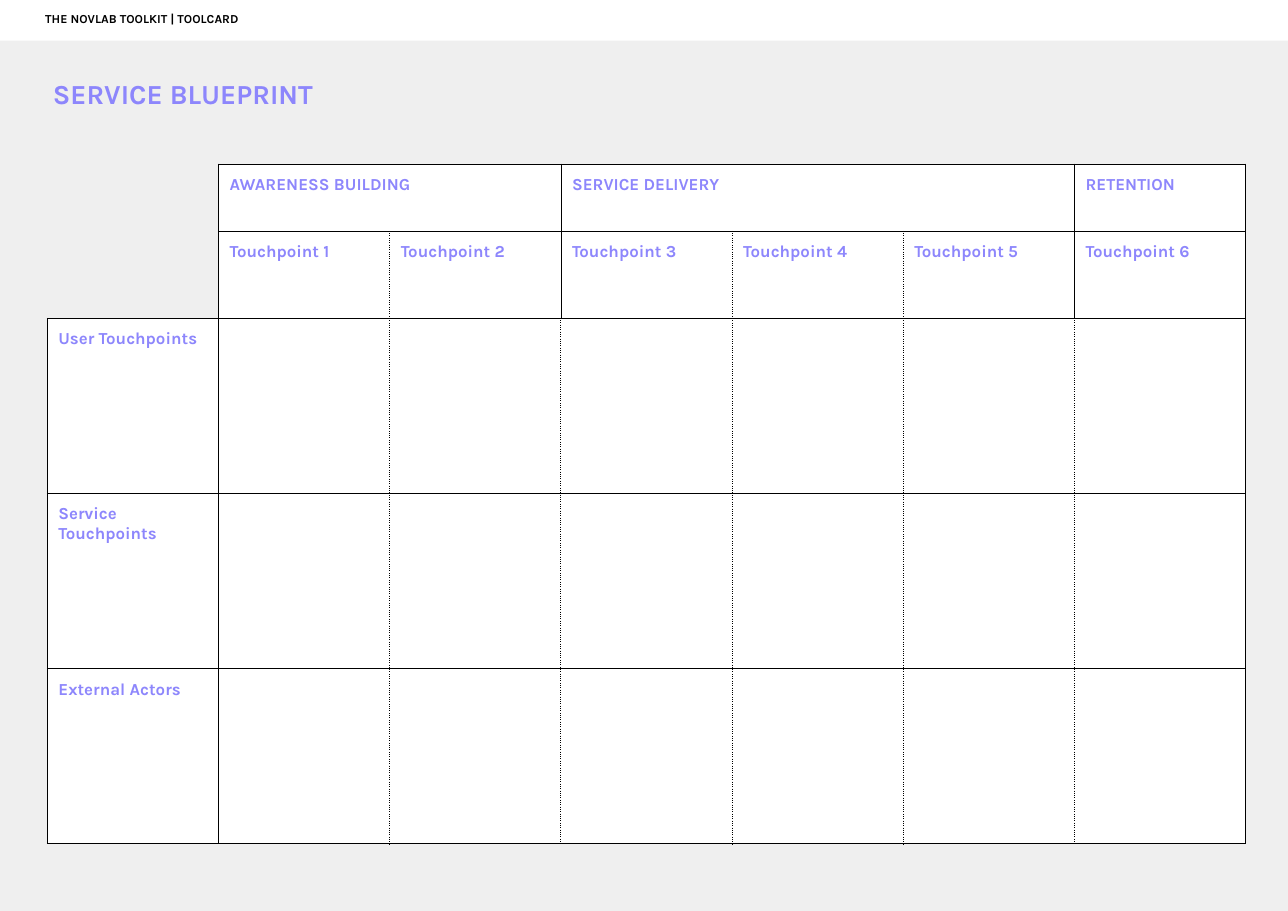
"""Build the service blueprint toolcard slide."""
from dataclasses import dataclass

from lxml import etree
from pptx import Presentation
from pptx.dml.color import RGBColor
from pptx.enum.shapes import MSO_SHAPE
from pptx.enum.text import MSO_ANCHOR, MSO_AUTO_SIZE, PP_ALIGN
from pptx.oxml.ns import qn
from pptx.util import Inches, Pt

RECT = MSO_SHAPE.RECTANGLE
TOP, MIDDLE = MSO_ANCHOR.TOP, MSO_ANCHOR.MIDDLE
NO_FIT = MSO_AUTO_SIZE.NONE
LEFT = PP_ALIGN.LEFT


@dataclass
class Theme:
    font: str = "Karla"
    accent: str = "8D86FC"
    ink: str = "000000"
    paper: str = "FFFFFF"
    backdrop: str = "EFEFEF"
    title: int = 18
    label: int = 11
    banner: int = 8
    rule: float = 0.75


theme = Theme()


def write(tf, text, size=theme.label, color=theme.accent, bold=True):
    p = tf.paragraphs[0]
    p.alignment = LEFT
    r = p.add_run()
    r.text = text
    r.font.name = theme.font
    r.font.size = Pt(size)
    r.font.bold = bold
    r.font.color.rgb = RGBColor.from_string(color)


def add_border(cell, side, dash):
    ln = etree.SubElement(cell._tc.get_or_add_tcPr(), qn(f"a:ln{side}"), w=str(Pt(theme.rule)))
    if dash is None:
        etree.SubElement(ln, qn("a:noFill"))
        return
    fill = etree.SubElement(ln, qn("a:solidFill"))
    etree.SubElement(fill, qn("a:srgbClr"), val=theme.ink)
    etree.SubElement(ln, qn("a:prstDash"), val=dash)


prs = Presentation()
prs.slide_width, prs.slide_height = Inches(11.69), Inches(8.27)
s = prs.slides.add_slide(prs.slide_layouts[5])
s.background.fill.solid()
s.background.fill.fore_color.rgb = RGBColor.from_string(theme.backdrop)

title = s.shapes.title
title.left, title.top, title.width, title.height = Inches(0), Inches(0.59), Inches(6.64), Inches(0.51)
tf = title.text_frame
tf.auto_size, tf.vertical_anchor = NO_FIT, MIDDLE
tf.margin_left = Inches(0.48)
tf.margin_top = tf.margin_right = tf.margin_bottom = Inches(0.1)
write(tf, "SERVICE BLUEPRINT", size=theme.title)

phases = [("AWARENESS BUILDING", 2), ("SERVICE DELIVERY", 3), ("RETENTION", 1)]
actors = ["User Touchpoints", "Service Touchpoints", "External Actors"]
heights = [0.61, 0.79] + [1.59] * len(actors)
touchpoints = sum(span for _, span in phases)
n_cols = touchpoints + 1
table_width = Inches(10.88)

labels = {(1, n): f"Touchpoint {n}" for n in range(1, n_cols)}
labels.update({(row, 0): actor for row, actor in enumerate(actors, 2)})
spans = []
phase_edges = {1}
col = 1
for phase, span in phases:
    labels[0, col] = phase
    spans.append((col, col + span - 1))
    col += span
    phase_edges.add(col)

table = s.shapes.add_table(len(heights), n_cols, Inches(0.43), Inches(1.49),
                           table_width, Inches(sum(heights))).table
table.first_row = table.horz_banding = False
for column in table.columns:
    column.width = table_width // n_cols

for row, height in enumerate(heights):
    table.rows[row].height = Inches(height)
    for col in range(n_cols):
        cell = table.cell(row, col)
        corner = row < 2 and col == 0
        for side, edge in (("L", col), ("R", col + 1)):
            solid = row == 0 or edge in (0, 1, n_cols) or (row == 1 and edge in phase_edges)
            dash = "solid" if solid else "sysDot"
            add_border(cell, side, None if corner and edge == 0 else dash)
        for side, edge in (("T", row), ("B", row + 1)):
            add_border(cell, side, None if col == 0 and edge < 2 else "solid")
        if corner:
            cell.fill.background()
        else:
            cell.fill.solid()
            cell.fill.fore_color.rgb = RGBColor.from_string(theme.paper)
        cell.vertical_anchor = TOP
        cell.margin_left = cell.margin_top = cell.margin_right = cell.margin_bottom = Inches(0.1)
        if (row, col) in labels:
            write(cell.text_frame, labels[row, col])

for first, last in spans:
    if last > first:
        table.cell(0, first).merge(table.cell(0, last))

banner = s.shapes.add_shape(RECT, 0, 0, prs.slide_width, Inches(0.37))
banner.shadow.inherit = False
banner.fill.solid()
banner.fill.fore_color.rgb = RGBColor.from_string(theme.paper)
banner.line.fill.background()
tf = banner.text_frame
tf.word_wrap, tf.vertical_anchor = True, TOP
tf.margin_left = Inches(0.41)
tf.margin_top = tf.margin_right = tf.margin_bottom = Inches(0.1)
write(tf, "THE NOVLAB TOOLKIT | TOOLCARD", size=theme.banner, color=theme.ink)

prs.save("out.pptx")
